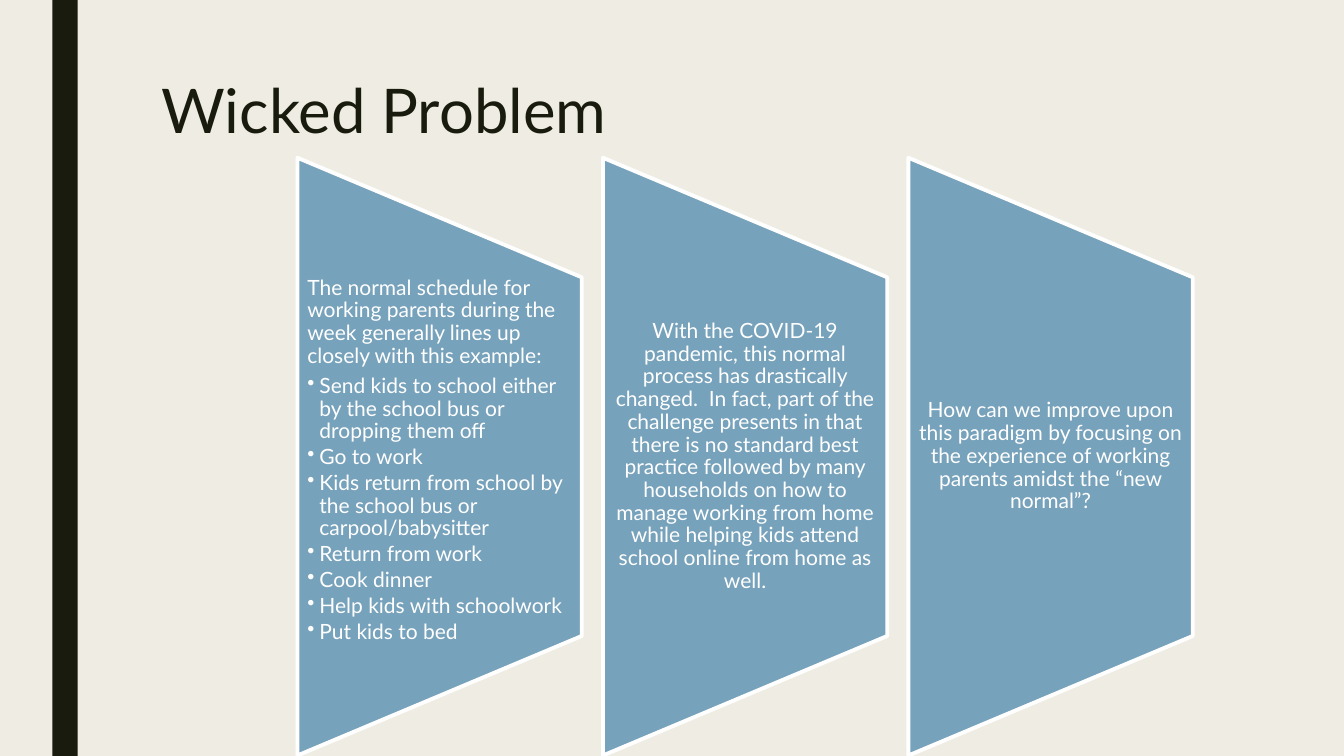
from lxml import etree
from pptx import Presentation
from pptx.dml.color import RGBColor
from pptx.enum.shapes import MSO_SHAPE
from pptx.enum.text import MSO_ANCHOR, PP_ALIGN
from pptx.oxml.ns import qn
from pptx.util import Inches, Pt

RECT = MSO_SHAPE.RECTANGLE
FLAP = MSO_SHAPE.FLOWCHART_MANUAL_OPERATION
TOP, MIDDLE = MSO_ANCHOR.TOP, MSO_ANCHOR.MIDDLE
LEFT, CENTER = PP_ALIGN.LEFT, PP_ALIGN.CENTER

FONT = "Lato"
CREAM, DARK, BLUE, WHITE = "EFEDE3", "191B0E", "77A2BB", "FFFFFF"
TITLE = "Wicked Problem"
PANELS = [
    ("The normal schedule for working parents during the week generally "
     "lines up closely with this example:",
     ["Send kids to school either by the school bus or dropping them off",
      "Go to work",
      "Kids return from school by the school bus or carpool/babysitter",
      "Return from work",
      "Cook dinner",
      "Help kids with schoolwork",
      "Put kids to bed"]),
    ("With the COVID-19 pandemic, this normal process has drastically "
     "changed.  In fact, part of the challenge presents in that there is no "
     "standard best practice followed by many households on how to manage "
     "working from home while helping kids attend school online from home "
     "as well.", []),
    ("How can we improve upon this paradigm by focusing on the experience "
     "of working parents amidst the “new normal”?", []),
]
START, STEP, MID = 2.95, 3.03, 4.53
WIDE, TALL, BODY = 2.82, 5.93, 3.56


def color(text):
    return RGBColor.from_string(text)


def style(par, size, tint, lead, after=0):
    par.font.name = FONT
    par.font.size = Pt(size)
    par.font.color.rgb = color(tint)
    par.line_spacing = lead
    par.space_before = Pt(0)
    par.space_after = Pt(after)


def bullet(par):
    props = par._p.get_or_add_pPr()
    props.set("marL", str(Inches(0.12)))
    props.set("indent", str(-Inches(0.12)))
    etree.SubElement(props, qn("a:buChar")).set("char", "•")


def shape(slide, kind, left, top, width, height, fill):
    item = slide.shapes.add_shape(
        kind, Inches(left), Inches(top), Inches(width), Inches(height))
    item.shadow.inherit = False
    item.fill.solid()
    item.fill.fore_color.rgb = color(fill)
    item.line.fill.background()
    return item


def panel(slide, left, lead, points):
    flap = shape(slide, FLAP, left + (WIDE - TALL) / 2, MID - WIDE / 2,
                 TALL, WIDE, BLUE)
    flap.rotation = 270
    flap.line.color.rgb = color(WHITE)
    flap.line.width = Pt(2.75)

    box = slide.shapes.add_textbox(
        Inches(left), Inches(MID - BODY / 2), Inches(WIDE), Inches(BODY))
    frame = box.text_frame
    frame.word_wrap = True
    frame.margin_left = frame.margin_right = Inches(0.1)
    frame.margin_top = frame.margin_bottom = 0
    frame.vertical_anchor = TOP if points else MIDDLE
    par = frame.paragraphs[0]
    par.text = lead
    par.alignment = LEFT if points else CENTER
    style(par, 15, WHITE, 0.9, 5.25)
    for point in points:
        par = frame.add_paragraph()
        par.text = point
        par.level = 1
        par.alignment = LEFT
        bullet(par)
        style(par, 15, WHITE, 0.9, 2.25)


def main():
    deck = Presentation()
    deck.slide_width, deck.slide_height = Inches(13.33), Inches(7.5)
    slide = deck.slides.add_slide(deck.slide_layouts[5])
    slide.background.fill.solid()
    slide.background.fill.fore_color.rgb = color(CREAM)
    shape(slide, RECT, 0.52, 0, 0.25, 7.5, DARK)

    title = slide.shapes.title
    title.left, title.top = Inches(1.5), Inches(0.75)
    title.width, title.height = Inches(10.5), Inches(1.62)
    title.text_frame.text = TITLE
    title.text_frame.vertical_anchor = TOP
    par = title.text_frame.paragraphs[0]
    par.alignment = LEFT
    style(par, 44, DARK, 0.89)

    for col, (lead, points) in enumerate(PANELS):
        panel(slide, START + col * STEP, lead, points)
    deck.save("out.pptx")


if __name__ == "__main__":
    main()
